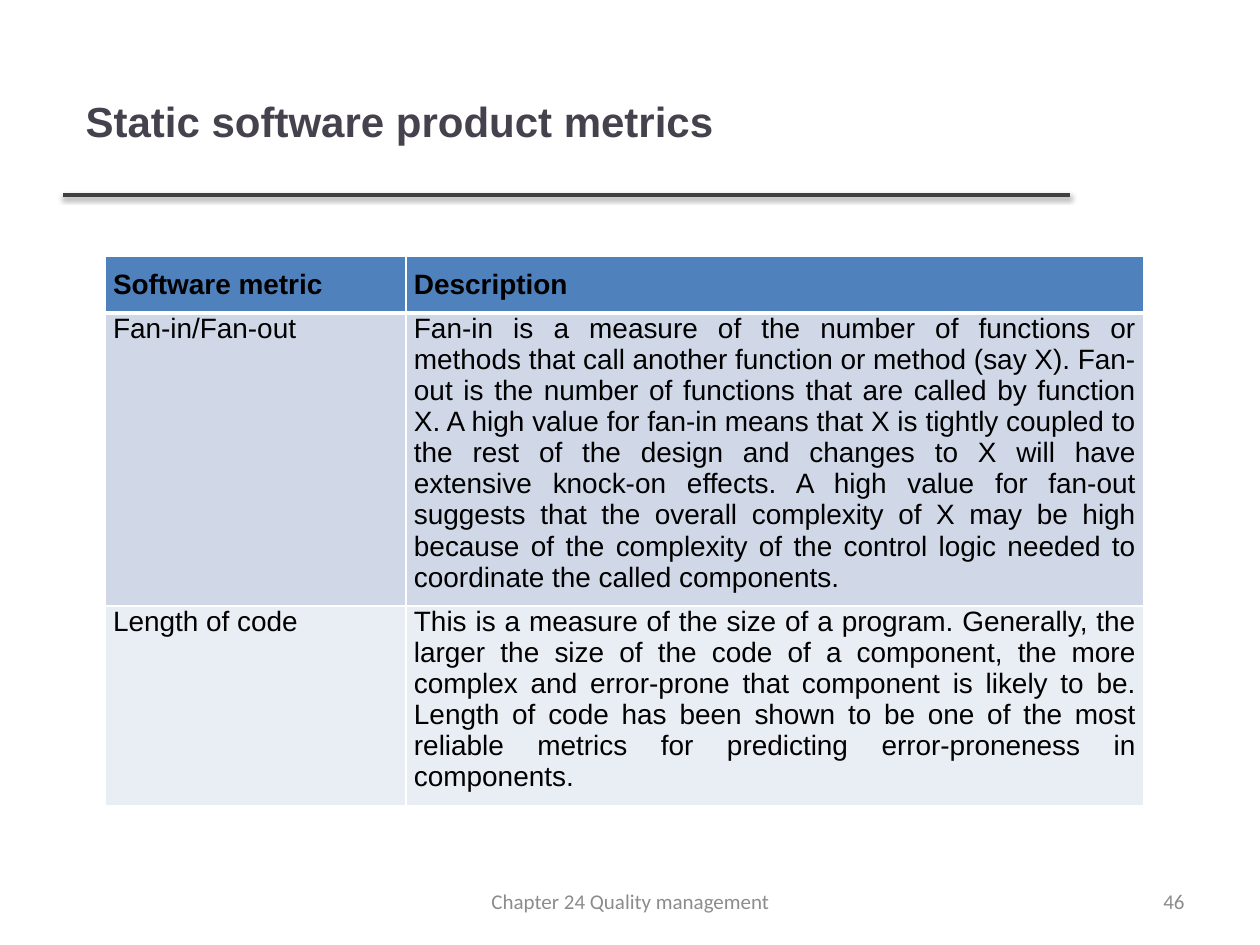
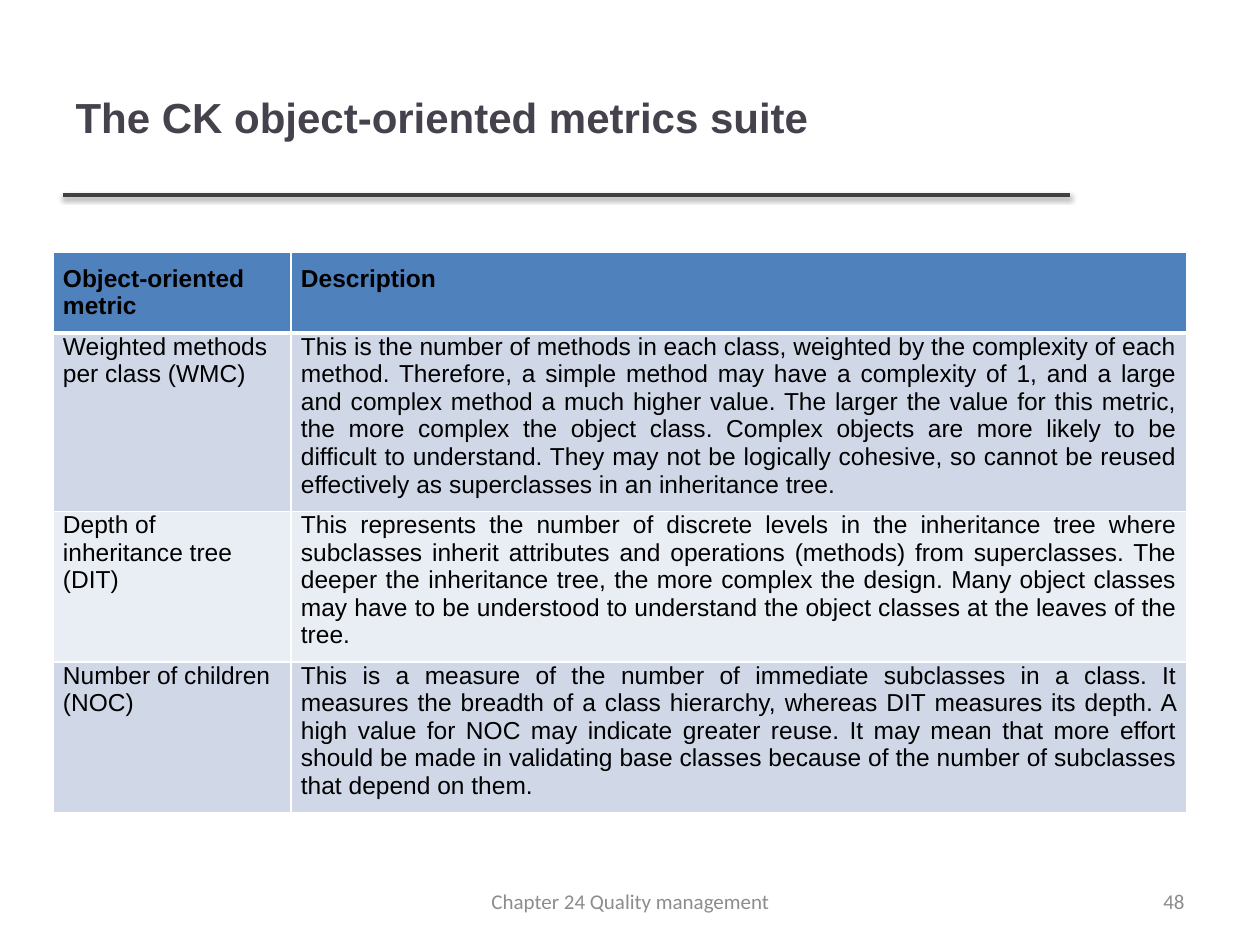
"""Build two slides of software metrics tables with a shared title, rule and footer."""
from lxml import etree
from pptx import Presentation
from pptx.dml.color import RGBColor
from pptx.enum.shapes import MSO_CONNECTOR
from pptx.enum.text import MSO_ANCHOR, PP_ALIGN
from pptx.oxml import parse_xml
from pptx.oxml.ns import nsdecls
from pptx.util import Emu, Inches, Pt

LEFT, CENTER, RIGHT, JUSTIFY = PP_ALIGN.LEFT, PP_ALIGN.CENTER, PP_ALIGN.RIGHT, PP_ALIGN.JUSTIFY
MIDDLE, TOP = MSO_ANCHOR.MIDDLE, MSO_ANCHOR.TOP
STRAIGHT = MSO_CONNECTOR.STRAIGHT
PX_PER_INCH = 126


class Theme:
    """Colours, fonts and type sizes of the deck."""
    title, rule, footer = "46424D", "404040", "8C8C8C"
    ink, border, header = "000000", "FFFFFF", "4F81BD"
    bands = ("D0D8E8", "E9EDF4")
    font, footer_font = "Arial", "Calibri"
    title_size, footer_size = 24, 12
    rule_width, border_width, header_border_width = 2, 1, 3


FOOTER = "Chapter 24 Quality management"
RULE = (63, 195, 1070, 195)
FOOTER_BOX = (431, 876, 399, 50)
NUMBER_BOX = (903, 876, 294, 50)
CELL_PAD = 13

SLIDES = [
    {
        "title": "Static software product metrics",
        "title_box": (73, 53, 998, 136),
        "number": "46",
        "origin": (105, 256),
        "columns": (301, 738),
        "heights": (56, 292, 200),
        "size": 16,
        "side_pad": 8,
        "rows": [
            ("Software metric", "Description"),
            ("Fan-in/Fan-out",
             "Fan-in is a measure of the number of functions or methods that call another "
             "function or method (say X). Fan-out is the number of functions that are called "
             "by function X. A high value for fan-in means that X is tightly coupled to the "
             "rest of the design and changes to X will have extensive knock-on effects. A high "
             "value for fan-out suggests that the overall complexity of X may be high because "
             "of the complexity of the control logic needed to coordinate the called "
             "components."),
            ("Length of code",
             "This is a measure of the size of a program. Generally, the larger the size of "
             "the code of a component, the more complex and error-prone that component is "
             "likely to be. Length of code has been shown to be one of the most reliable "
             "metrics for predicting error-proneness in components."),
        ],
    },
    {
        "title": "The CK object-oriented metrics suite",
        "title_box": (63, 38, 1006, 158),
        "number": "48",
        "origin": (53, 252),
        "columns": (238, 896),
        "heights": (80, 178, 150, 150),
        "size": 14,
        "side_pad": 10,
        "rows": [
            ("Object-oriented metric", "Description"),
            ("Weighted methods per class (WMC)",
             "This is the number of methods in each class, weighted by the complexity of each "
             "method. Therefore, a simple method may have a complexity of 1, and a large and "
             "complex method a much higher value. The larger the value for this metric, the "
             "more complex the object class. Complex objects are more likely to be difficult "
             "to understand. They may not be logically cohesive, so cannot be reused "
             "effectively as superclasses in an inheritance tree."),
            ("Depth of inheritance tree (DIT)",
             "This represents the number of discrete levels in the inheritance tree where "
             "subclasses inherit attributes and operations (methods) from superclasses. The "
             "deeper the inheritance tree, the more complex the design. Many object classes "
             "may have to be understood to understand the object classes at the leaves of the "
             "tree."),
            ("Number of children (NOC)",
             "This is a measure of the number of immediate subclasses in a class. It measures "
             "the breadth of a class hierarchy, whereas DIT measures its depth. A high value "
             "for NOC may indicate greater reuse. It may mean that more effort should be made "
             "in validating base classes because of the number of subclasses that depend on "
             "them."),
        ],
    },
]


def px(length):
    """Turn pixels into EMU."""
    return Emu(Inches(length / PX_PER_INCH))


def write(frame, text, font, size, color, align, bold=False):
    """Put one formatted paragraph into a text frame."""
    frame.word_wrap = True
    frame.text = text
    para = frame.paragraphs[0]
    para.alignment = align
    para.font.name = font
    para.font.size = Pt(size)
    para.font.bold = bold
    para.font.color.rgb = RGBColor.from_string(color)


def add_title(page, text, box):
    """Place and format the title placeholder."""
    title = page.shapes.title
    title.left, title.top, title.width, title.height = map(px, box)
    write(title.text_frame, text, Theme.font, Theme.title_size, Theme.title, LEFT, True)
    title.text_frame.vertical_anchor = MIDDLE


def add_rule(page):
    """Draw the shadowed line under the title."""
    rule = page.shapes.add_connector(STRAIGHT, *map(px, RULE))
    rule.line.color.rgb = RGBColor.from_string(Theme.rule)
    rule.line.width = Pt(Theme.rule_width)
    rule._element.spPr.append(parse_xml(
        f'<a:effectLst {nsdecls("a")}><a:outerShdw blurRad="{Pt(3.1)}" dist="{Pt(1.6)}" '
        f'dir="5400000" rotWithShape="0"><a:srgbClr val="{Theme.ink}">'
        '<a:alpha val="38000"/></a:srgbClr></a:outerShdw></a:effectLst>'))


def add_footer(page, text, box, align):
    """Add one text box of the footer line."""
    frame = page.shapes.add_textbox(*map(px, box)).text_frame
    write(frame, text, Theme.footer_font, Theme.footer_size, Theme.footer, align)
    frame.vertical_anchor = MIDDLE


def set_borders(cell, bottom_width):
    """Give a cell its four borders."""
    properties = cell._tc.get_or_add_tcPr()
    for index, side in enumerate("LRTB"):
        width = bottom_width if side == "B" else Theme.border_width
        line = parse_xml(f'<a:ln{side} {nsdecls("a")} w="{Pt(width)}"/>')
        fill = etree.SubElement(line, line.tag.replace(f"ln{side}", "solidFill"))
        etree.SubElement(fill, line.tag.replace(f"ln{side}", "srgbClr"), val=Theme.border)
        properties.insert(index, line)


def add_metrics_table(page, content):
    """Add the table of metrics and their descriptions."""
    rows, columns, heights = content["rows"], content["columns"], content["heights"]
    box = (*content["origin"], sum(columns), sum(heights))
    table = page.shapes.add_table(len(rows), len(columns), *map(px, box)).table
    for column, width in zip(table.columns, columns):
        column.width = px(width)
    for row_index, (row, height, texts) in enumerate(zip(table.rows, heights, rows)):
        row.height = px(height)
        is_header = row_index == 0
        color = Theme.header if is_header else Theme.bands[(row_index - 1) % 2]
        for column_index, (cell, text) in enumerate(zip(row.cells, texts)):
            align = JUSTIFY if is_header or column_index else LEFT
            write(cell.text_frame, text, Theme.font, content["size"], Theme.ink, align, is_header)
            cell.vertical_anchor = TOP
            cell.margin_left = cell.margin_right = px(content["side_pad"])
            cell.margin_top = px(CELL_PAD if is_header else 0)
            cell.margin_bottom = px(CELL_PAD)
            cell.fill.solid()
            cell.fill.fore_color.rgb = RGBColor.from_string(color)
            set_borders(cell, Theme.header_border_width if is_header else Theme.border_width)


def main():
    """Build and save the deck."""
    deck = Presentation()
    deck.slide_width, deck.slide_height = Inches(10), Inches(7.5)
    title_only = deck.slide_layouts.get_by_name("Title Only")
    for content in SLIDES:
        page = deck.slides.add_slide(title_only)
        add_rule(page)
        add_title(page, content["title"], content["title_box"])
        add_metrics_table(page, content)
        add_footer(page, content["number"], NUMBER_BOX, RIGHT)
        add_footer(page, FOOTER, FOOTER_BOX, CENTER)
    deck.save("out.pptx")


if __name__ == "__main__":
    main()
